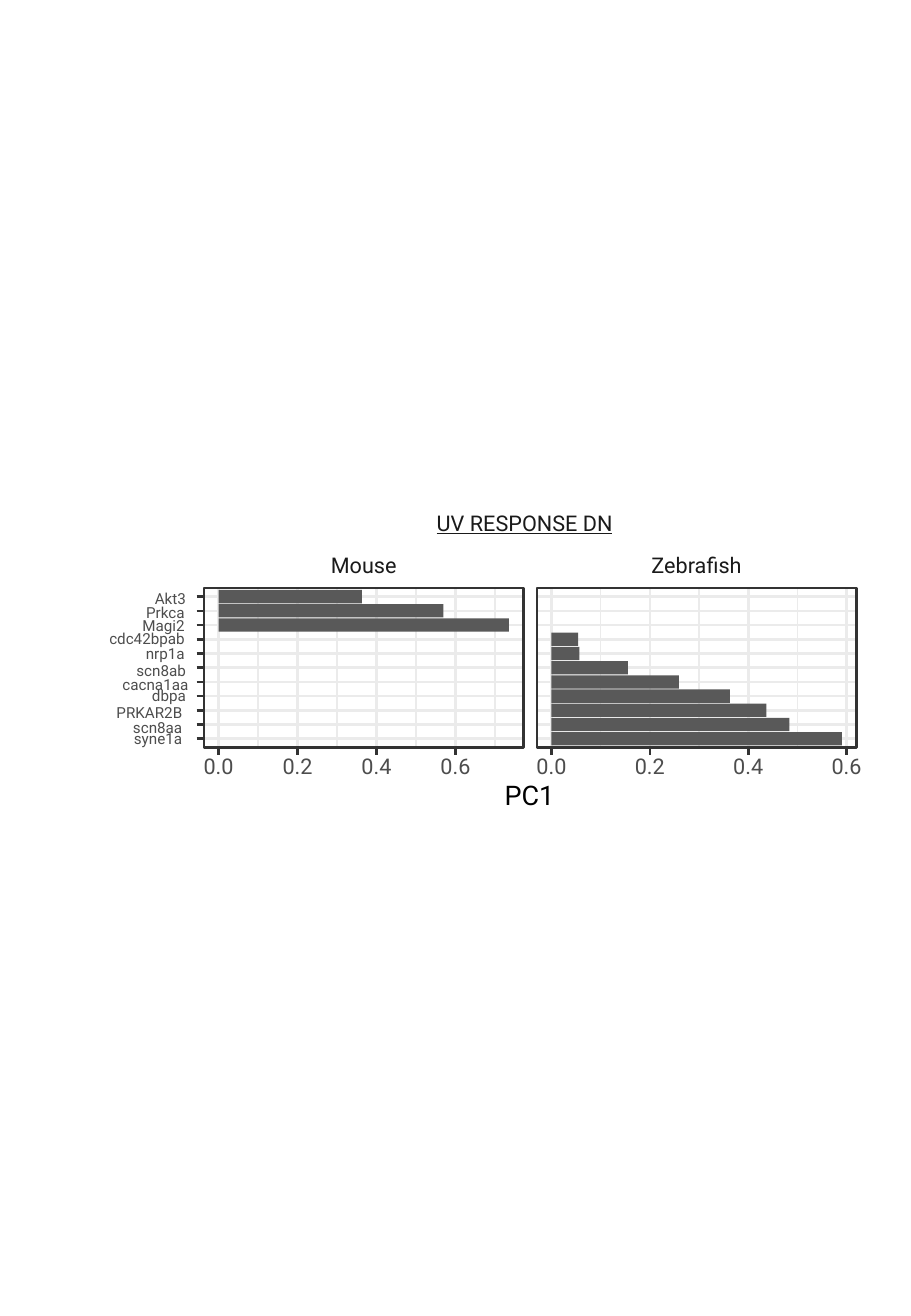
"""Build a slide with two bar panels of PC1 gene loadings, one per species."""
from lxml.etree import SubElement
from pptx import Presentation
from pptx.dml.color import RGBColor
from pptx.enum.shapes import MSO_CONNECTOR as CONN, MSO_SHAPE as SHAPE
from pptx.enum.text import MSO_ANCHOR as ANCHOR, PP_ALIGN as ALIGN
from pptx.oxml.ns import qn
from pptx.util import Inches, Pt

GRID = RGBColor(0xEB, 0xEB, 0xEB)
BAR = RGBColor(0x59, 0x59, 0x59)
FRAME = RGBColor(0x33, 0x33, 0x33)
HEAD = RGBColor(0x1A, 0x1A, 0x1A)
LABEL = RGBColor(0x4D, 0x4D, 0x4D)
BLACK = RGBColor(0, 0, 0)

# gene, right edge and vertical centre of its label
GENES = [
    ("Akt3", 1.53, 4.91), ("Prkca", 1.52, 5.03), ("Magi2", 1.52, 5.13),
    ("cdc42bpab", 1.52, 5.24), ("nrp1a", 1.52, 5.36), ("scn8ab", 1.53, 5.5),
    ("cacna1aa", 1.55, 5.62), ("dbpa", 1.53, 5.71), ("PRKAR2B", 1.5, 5.85),
    ("scn8aa", 1.5, 5.97), ("syne1a", 1.5, 6.06),
]
PANELS = [
    {"name": "Mouse", "left": 1.68, "step": 0.65,
     "bars": {"Akt3": 1.18, "Prkca": 1.85, "Magi2": 2.39}},
    {"name": "Zebrafish", "left": 4.42, "step": 0.81,
     "bars": {"cdc42bpab": 0.22, "nrp1a": 0.23, "scn8ab": 0.63, "cacna1aa": 1.05,
              "dbpa": 1.47, "PRKAR2B": 1.77, "scn8aa": 1.96, "syne1a": 2.39}},
]
TICKS = ["0.0", "0.2", "0.4", "0.6"]
TOP, WIDTH, HEIGHT = 4.84, 2.63, 1.31
BOTTOM = TOP + HEIGHT
ZERO, TICK, BAR_H = 0.12, 0.06, 0.11
FIRST_ROW, LAST_ROW = 4.91, 6.08
THICK, THIN = 1.55, 0.78

ROW_STEP = (LAST_ROW - FIRST_ROW) / (len(GENES) - 1)
ROWS = {gene: FIRST_ROW + i * ROW_STEP for i, (gene, _, _) in enumerate(GENES)}


def add_line(s, x1, y1, x2, y2, color, width):
    line = s.shapes.add_connector(CONN.STRAIGHT, *map(Inches, (x1, y1, x2, y2)))
    line.line.color.rgb = color
    line.line.width = Pt(width)
    SubElement(line._element.spPr, qn("a:effectLst"))


def add_rect(s, x, y, w, h, fill=None, border=None):
    sp = s.shapes.add_shape(SHAPE.RECTANGLE, *map(Inches, (x, y, w, h)))
    sp.shadow.inherit = False
    if fill is None:
        sp.fill.background()
    else:
        sp.fill.solid()
        sp.fill.fore_color.rgb = fill
    if border is None:
        sp.line.fill.background()
    else:
        sp.line.color.rgb = border
        sp.line.width = Pt(THICK)


def add_text(s, text, left, middle, width, color, size=12.8, spacing=12.8,
             align=ALIGN.CENTER, underline=None):
    h = 0.16
    box = s.shapes.add_textbox(*map(Inches, (left, middle - h / 2, width, h)))
    tf = box.text_frame
    frame = {"word_wrap": True, "vertical_anchor": ANCHOR.MIDDLE, "margin_left": 0,
             "margin_right": 0, "margin_top": 0, "margin_bottom": 0}
    for name, value in frame.items():
        setattr(tf, name, value)
    p = tf.paragraphs[0]
    p.alignment, p.line_spacing = align, Pt(spacing)
    r = p.add_run()
    r.text = text
    for name, value in {"name": "Roboto", "size": Pt(size), "underline": underline}.items():
        setattr(r.font, name, value)
    r.font.color.rgb = color


def add_panel(s, name, left, step, bars):
    right, zero = left + WIDTH, left + ZERO
    majors = [zero + i * step for i in range(len(TICKS))]
    for x in majors:
        if x + step / 2 < right:
            add_line(s, x + step / 2, BOTTOM, x + step / 2, TOP, GRID, THIN)
    for y in ROWS.values():
        add_line(s, left, y, right, y, GRID, THICK)
    for x in majors:
        add_line(s, x, BOTTOM, x, TOP, GRID, THICK)
    for gene, length in bars.items():
        add_rect(s, zero, ROWS[gene] - BAR_H / 2, length, BAR_H, fill=BAR)
    add_rect(s, left, TOP, WIDTH, HEIGHT, border=FRAME)
    add_text(s, name, left, 4.67, WIDTH, HEAD)
    for x, tick in zip(majors, TICKS):
        add_line(s, x, BOTTOM + TICK, x, BOTTOM, FRAME, THICK)
        add_text(s, tick, x - 0.25, 6.32, 0.5, LABEL)


def main():
    prs = Presentation()
    prs.slide_width, prs.slide_height = Inches(7.5), Inches(10.83)
    s = prs.slides.add_slide(prs.slide_layouts[6])
    for panel in PANELS:
        add_panel(s, **panel)
    axis = PANELS[0]["left"]
    for gene, right, middle in GENES:
        add_text(s, gene, right - 1, middle, 1, LABEL, size=9, align=ALIGN.RIGHT)
        add_line(s, axis - TICK, ROWS[gene], axis, ROWS[gene], FRAME, THICK)
    add_text(s, "UV RESPONSE DN", 3.32, 4.32, 2, HEAD, underline=True)
    add_text(s, "PC1", 3.86, 6.56, 1, BLACK, size=16, spacing=16)
    prs.save("out.pptx")


if __name__ == "__main__":
    main()
